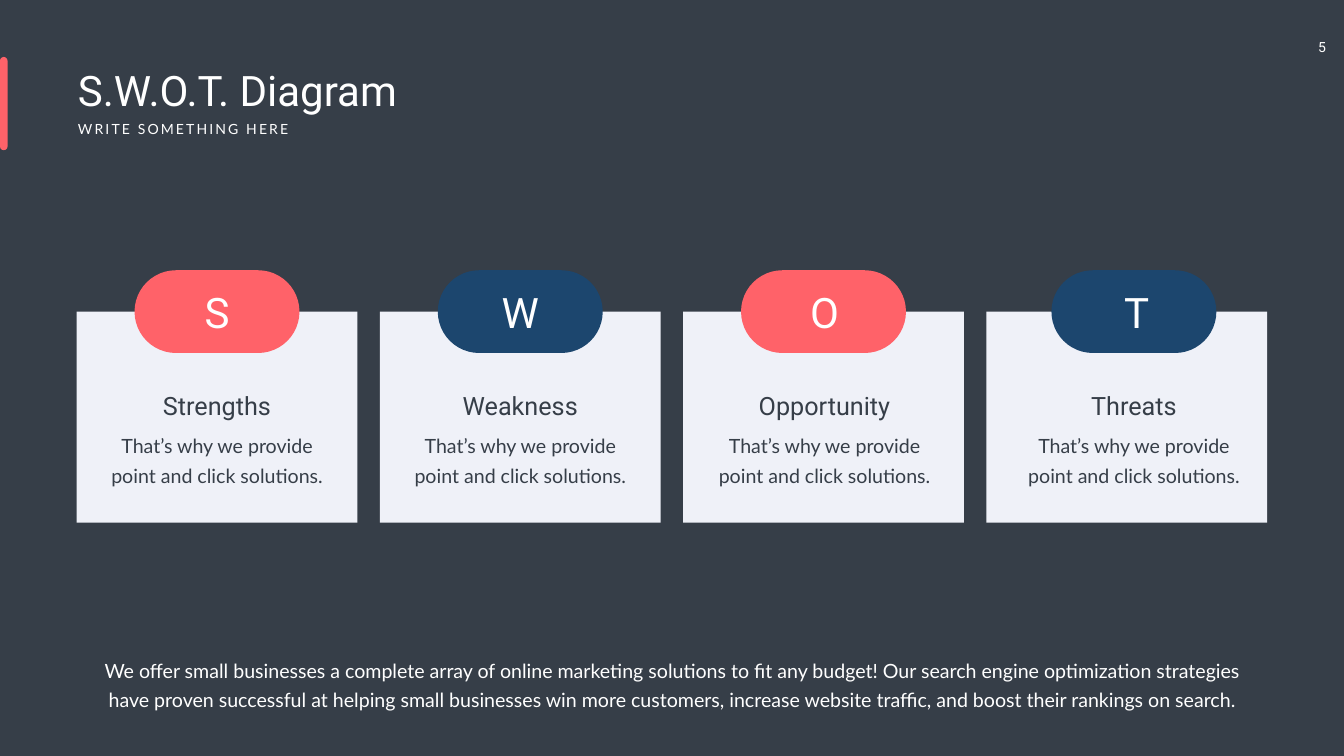
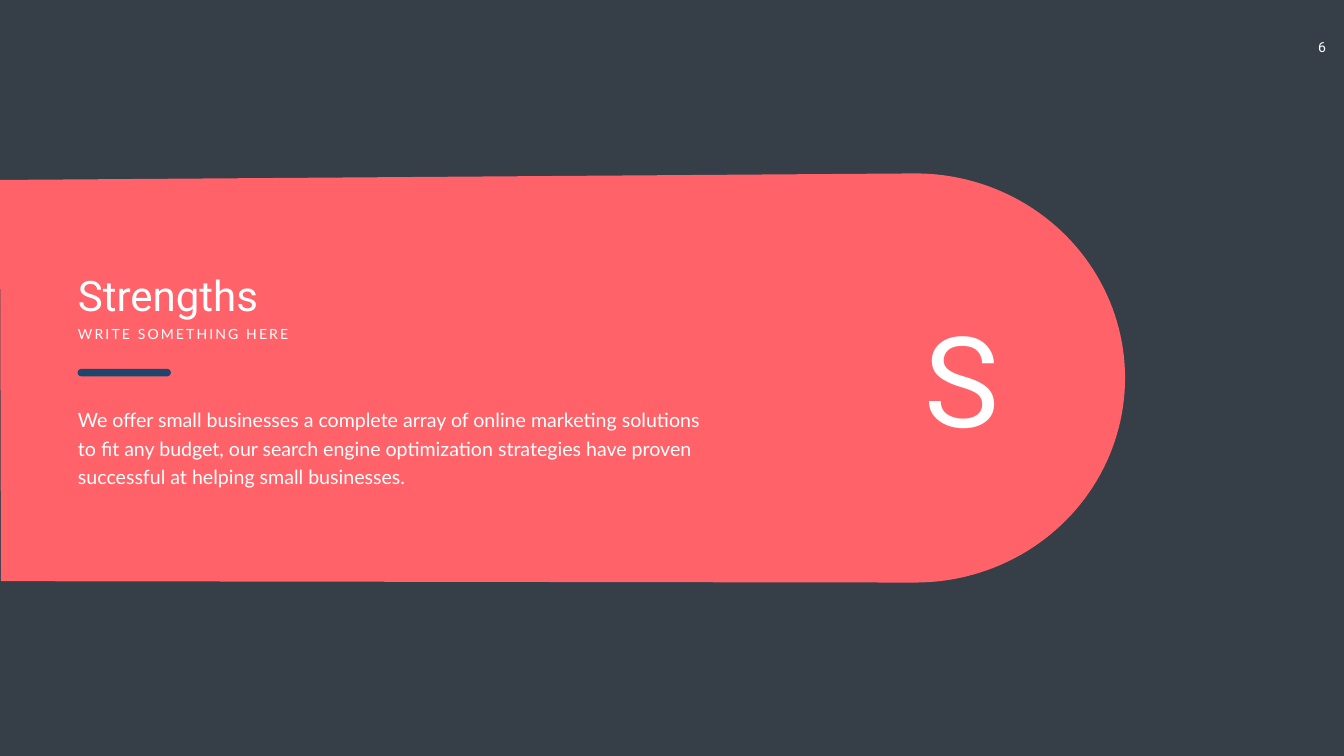
import math
from dataclasses import dataclass

import pptx
import pptx.dml.color
import pptx.enum.shapes
import pptx.enum.text
import pptx.util

Cm = pptx.util.Cm
Pt = pptx.util.Pt
Shapes = pptx.enum.shapes.MSO_SHAPE
Align = pptx.enum.text.PP_ALIGN


@dataclass(frozen=True)
class Theme:
    background: str = "363E48"
    dark_text: str = "363E48"
    light_text: str = "FFFFFF"
    card: str = "EFF1F8"
    coral: str = "FF6269"
    navy: str = "1C466E"
    heading_font: str = "Roboto"
    body_font: str = "Lato"
    small: int = 20
    body: int = 28
    card_title: int = 36
    title: int = 60
    giant: int = 180
    body_leading: float = 40.8
    card_leading: float = 43


@dataclass(frozen=True)
class Box:
    """A rectangle in centimetres."""
    left: float
    top: float
    width: float
    height: float

    def inner(self, left, top, width, height):
        return Box(self.left + left, self.top + top, width, height)

    def centred(self, top, width, height, shift=0):
        return self.inner((self.width - width) / 2 + shift, top, width, height)

    def lengths(self):
        return Cm(self.left), Cm(self.top), Cm(self.width), Cm(self.height)


@dataclass(frozen=True)
class SwotItem:
    letter: str
    name: str
    color: str
    pill_shift: float = 0
    letter_shift: float = 0
    text_shift: float = 0


THEME = Theme()
PAGE = Box(0, 0, 67.72, 38.1)
BAR_LENGTH, BAR_THICKNESS = 4.7, 0.38
SUBTITLE = "WRITE SOMETHING HERE"
CARD_TEXT = "That’s why we provide point and click solutions."
SWOT_ITEMS = [
    SwotItem("S", "Strengths", THEME.coral),
    SwotItem("W", "Weakness", THEME.navy),
    SwotItem("O", "Opportunity", THEME.coral, 0, 0.05, 0.05),
    SwotItem("T", "Threats", THEME.navy, 0.36, 0.5, 0.36),
]


# Shared building blocks

def paint(shape, color):
    shape.shadow.inherit = False
    shape.fill.solid()
    shape.fill.fore_color.rgb = pptx.dml.color.RGBColor.from_string(color)
    shape.line.fill.background()


def add_block(slide, box, color, rounded=False, rotation=0):
    kind = Shapes.ROUNDED_RECTANGLE if rounded else Shapes.RECTANGLE
    shape = slide.shapes.add_shape(kind, *box.lengths())
    if rounded:
        shape.adjustments[0] = 0.5
    shape.rotation = rotation
    paint(shape, color)


def add_text(slide, box, text, size, font=THEME.body_font, color=THEME.light_text,
             align=Align.LEFT, leading=None, tracking=None):
    shape = slide.shapes.add_textbox(*box.lengths())
    frame = shape.text_frame
    frame.text = text
    frame.word_wrap = True
    frame.auto_size = pptx.enum.text.MSO_AUTO_SIZE.SHAPE_TO_FIT_TEXT
    paragraph = frame.paragraphs[0]
    paragraph.alignment = align
    if leading:
        paragraph.line_spacing = Pt(leading)
    run = paragraph.runs[0]
    run.font.name = font
    run.font.size = Pt(size)
    run.font.color.rgb = pptx.dml.color.RGBColor.from_string(color)
    if tracking:
        run._r.get_or_add_rPr().set("spc", str(tracking * 100))
    return shape


def add_heading(slide, box, title):
    add_text(slide, box.inner(0, 0, 24.79, 2.82), title, THEME.title, THEME.heading_font)
    add_text(slide, box.inner(0, 2.82, 14.86, 1.12), SUBTITLE, THEME.small, tracking=3)


def new_slide(presentation, number):
    slide = presentation.slides.add_slide(presentation.slide_layouts[6])
    fill = slide.background.fill
    fill.solid()
    fill.fore_color.rgb = pptx.dml.color.RGBColor.from_string(THEME.background)
    # Page number
    shape = add_text(slide, PAGE.inner(65.51, 1.7, 2.2, 1.37), str(number),
                     THEME.small, THEME.heading_font, align=Align.CENTER)
    frame = shape.text_frame
    frame.margin_left = frame.margin_right = Cm(0.51)
    frame.margin_top = frame.margin_bottom = Cm(0.25)
    return slide


# SWOT overview

def add_swot_card(slide, box, item):
    add_block(slide, box, THEME.card)
    add_block(slide, box.centred(-2.08, 8.31, 4.17, item.pill_shift), item.color, rounded=True)
    add_text(slide, box.centred(-1.37, 5.23, 2.82, item.letter_shift), item.letter,
             THEME.title, THEME.heading_font, align=Align.CENTER)
    add_text(slide, box.centred(3.84, 8.79, 1.8, item.text_shift), item.name,
             THEME.card_title, THEME.heading_font, THEME.dark_text, Align.CENTER)
    add_text(slide, box.centred(5.72, 12.52, 3.18, item.text_shift), CARD_TEXT,
             THEME.body, color=THEME.dark_text, align=Align.CENTER,
             leading=THEME.card_leading)


def build_swot_slide(presentation, number):
    slide = new_slide(presentation, number)
    add_heading(slide, PAGE.inner(3.68, 3.15, 24.79, 3.94), "S.W.O.T. Diagram")
    # Upright accent on the left edge
    add_block(slide, PAGE.inner((BAR_THICKNESS - BAR_LENGTH) / 2, 5.03, BAR_LENGTH,
                                BAR_THICKNESS), THEME.coral, rounded=True, rotation=90)
    # Row of cards
    card_width, card_gap = 14.15, 1.13
    for column, item in enumerate(SWOT_ITEMS):
        left = 3.86 + column * (card_width + card_gap)
        add_swot_card(slide, PAGE.inner(left, 15.7, card_width, 10.64), item)
    # Closing statement
    add_text(slide, PAGE.centred(32.84, 58.01, 3.02),
             "We offer small businesses a complete array of online marketing solutions "
             "to fit any budget! Our search engine optimization strategies have proven "
             "successful at helping small businesses win more customers, increase website "
             "traffic, and boost their rankings on search.",
             THEME.body, align=Align.CENTER, leading=THEME.body_leading)


# Strengths detail

def add_round_ended_band(slide, box, color, steps=90):
    radius_x, radius_y = 10.57, box.height / 2
    centre_x = box.left + box.width - radius_x
    centre_y = box.top + radius_y
    angles = [math.pi * (step / steps - 0.5) for step in range(steps + 1)]
    points = [(Cm(centre_x + radius_x * math.cos(angle)),
               Cm(centre_y + radius_y * math.sin(angle))) for angle in angles]
    points.append((Cm(box.left + 0.05), Cm(box.top + box.height - 0.07)))
    builder = slide.shapes.build_freeform(Cm(box.left), Cm(box.top + 0.33))
    builder.add_line_segments(points, close=True)
    paint(builder.convert_to_shape(), color)


def build_strengths_slide(presentation, number):
    slide = new_slide(presentation, number)
    add_round_ended_band(slide, PAGE.inner(0, 8.74, 56.69, 20.62), THEME.coral)
    # Heading, divider and description
    content = PAGE.inner(3.68, 13.44, 32.28, 11.25)
    add_heading(slide, content, "Strengths")
    add_text(slide, content.inner(0, 6.75, content.width, 4.5),
             "We offer small businesses a complete array of online marketing solutions "
             "to fit any budget, our search engine optimization strategies have proven "
             "successful at helping small businesses.",
             THEME.body, leading=THEME.body_leading)
    add_block(slide, content.inner(0.23, 5.15, BAR_LENGTH, BAR_THICKNESS),
              THEME.navy, rounded=True)
    # Large initial
    add_text(slide, PAGE.inner(45.87, 15.06, 5.23, 7.95), "S", THEME.giant,
             THEME.heading_font, align=Align.CENTER)


def main():
    presentation = pptx.Presentation()
    presentation.slide_width = Cm(PAGE.width)
    presentation.slide_height = Cm(PAGE.height)
    build_swot_slide(presentation, 5)
    build_strengths_slide(presentation, 6)
    presentation.save("out.pptx")


if __name__ == "__main__":
    main()
